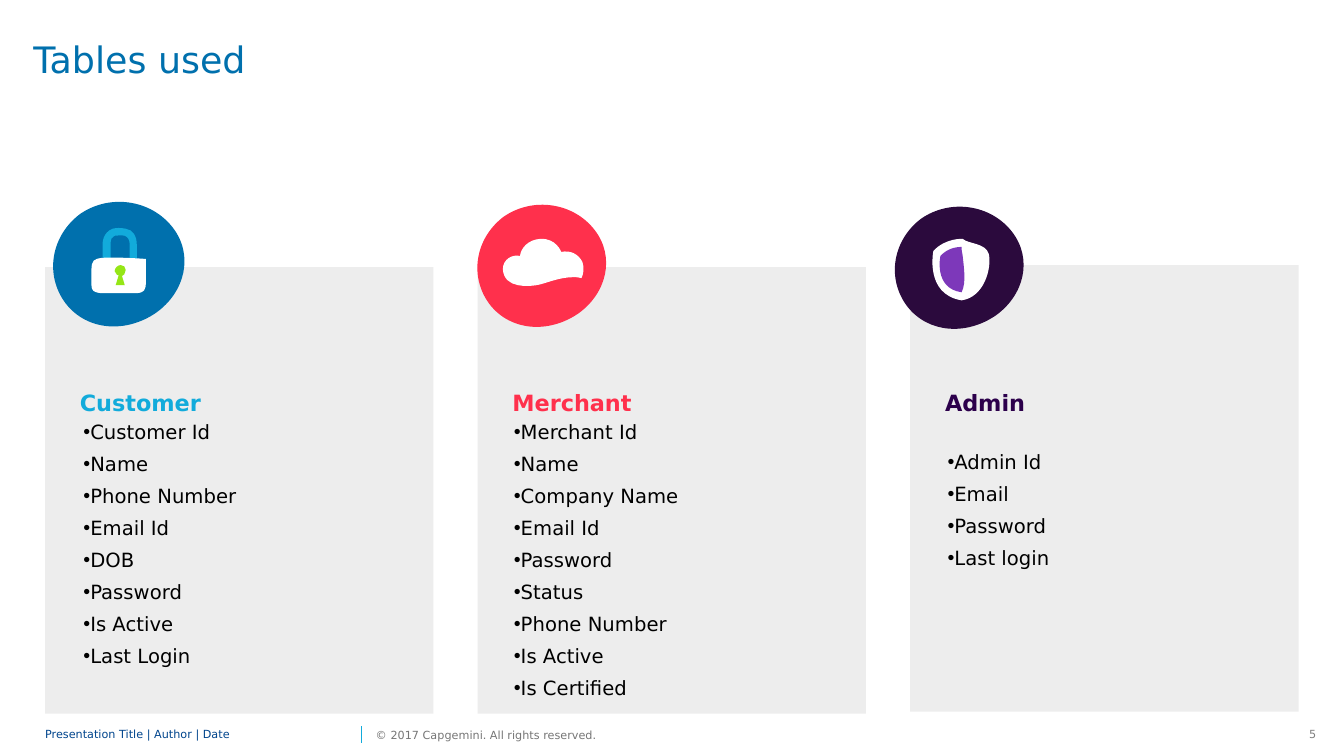
from lxml.etree import SubElement
from pptx import Presentation
from pptx.dml.color import RGBColor
from pptx.enum.shapes import MSO_CONNECTOR, MSO_SHAPE
from pptx.enum.text import MSO_ANCHOR, PP_ALIGN
from pptx.oxml.ns import qn
from pptx.util import Pt

FONT = "DejaVu Sans"
BLACK = RGBColor(0x00, 0x00, 0x00)
WHITE = RGBColor(0xFF, 0xFF, 0xFF)
PANEL = RGBColor(0xED, 0xED, 0xED)
BLUE = RGBColor(0x00, 0x70, 0xAD)
CYAN = RGBColor(0x12, 0xAB, 0xDB)
NAVY = RGBColor(0x00, 0x45, 0x8D)
RED = RGBColor(0xFF, 0x30, 0x4C)
PLUM = RGBColor(0x2B, 0x0A, 0x3D)
INDIGO = RGBColor(0x2C, 0x00, 0x4B)
VIOLET = RGBColor(0x7D, 0x38, 0xBA)
LIME = RGBColor(0x95, 0xE6, 0x16)
GREY = RGBColor(0x80, 0x80, 0x80)
DARK_GREY = RGBColor(0x76, 0x76, 0x76)

# Outlines: a start point, then two handles and an end point per curve
UNIT = 0.72  # points per outline unit
DISC = [(21, 107), (0, 79), (7, 41), (35, 20), (64, 0), (104, 6), (125, 33),
        (146, 60), (137, 96), (109, 116), (80, 136), (42, 134), (21, 107)]
SHACKLE = [(66, 74), (58, 74), (58, 74), (58, 74), (58, 68), (58, 52), (58, 52),
           (58, 49), (58, 39), (68, 35), (72, 34), (76, 34), (81, 35),
           (88, 36), (92, 42), (92, 51), (92, 74), (92, 74), (92, 74),
           (85, 74), (85, 74), (85, 74), (85, 51), (85, 51), (85, 51),
           (85, 46), (83, 43), (80, 42), (76, 41), (73, 42), (70, 42),
           (67, 43), (66, 45), (66, 52), (66, 52), (66, 68), (66, 74)]
LOCK_BODY = [(57, 99), (63, 99), (87, 99), (92, 99), (99, 98), (101, 97), (101, 87),
             (101, 87), (101, 73), (101, 65), (88, 64), (65, 63), (57, 64),
             (50, 65), (47, 66), (47, 76), (47, 90), (47, 90), (47, 90),
             (47, 97), (49, 98), (57, 99)]
KEYHOLE = [(76, 82), (79, 82), (81, 79), (81, 76), (81, 73), (79, 71), (76, 71),
           (73, 71), (70, 74), (70, 77), (71, 80), (73, 82), (76, 82)]
KEYHOLE_STEM = [(74, 81), (71, 91), (80, 91), (77, 81)]
CLOUD = [(113, 65), (109, 57), (101, 53), (92, 55), (92, 55), (87, 41), (71, 42),
         (59, 43), (52, 51), (51, 59), (44, 57), (34, 62), (34, 72),
         (35, 92), (61, 89), (67, 88), (75, 87), (89, 80), (104, 80),
         (107, 80), (110, 80), (112, 81), (114, 77), (115, 71), (113, 65)]
SHIELD = [(47, 52), (59, 39), (76, 40), (76, 40), (81, 45), (99, 44), (102, 55),
          (105, 70), (97, 98), (75, 101), (38, 95), (47, 52), (47, 52)]
SHIELD_HALF = [(76, 56), (75, 52), (75, 50), (75, 48), (73, 48), (62, 48), (54, 57),
               (54, 57), (47, 89), (75, 93), (80, 83), (77, 67), (76, 56)]

LOCK_ICON = [(SHACKLE, CYAN), (LOCK_BODY, WHITE), (KEYHOLE, LIME), (KEYHOLE_STEM, LIME)]
CLOUD_ICON = [(CLOUD, WHITE)]
SHIELD_ICON = [(SHIELD, WHITE), (SHIELD_HALF, VIOLET)]

CARDS = [
    dict(name="Customer", color=CYAN, list_at=(27.4, 109.4), list_h=198,
         fields=["Customer Id", "Name", "Phone Number", "Email Id", "DOB",
                 "Password", "Is Active", "Last Login"],
         badge_at=(-0.7, -52.6), disc=BLUE, icon=LOCK_ICON, scale=1.02),
    dict(name="Merchant", color=RED, list_at=(25.9, 109.4), list_h=198,
         fields=["Merchant Id", "Name", "Company Name", "Email Id", "Password",
                 "Status", "Phone Number", "Is Active", "Is Certified"],
         badge_at=(-6.5, -50.4), disc=RED, icon=CLOUD_ICON),
    dict(name="Admin", color=INDIGO, list_at=(26.6, 130.4), list_h=134.6,
         fields=["Admin Id", "Email", "Password", "Last login"],
         badge_at=(-17.3, -49), disc=PLUM, icon=SHIELD_ICON, lift=1.4),
]


def paint(sp, color):
    sp.shadow.inherit = False
    sp.fill.solid()
    sp.fill.fore_color.rgb = color
    sp.line.fill.background()


def write(p, text, size=14, color=BLACK, bold=False, line=None, after=None,
          align=None, bullet=None):
    if bullet:
        pPr = p._p.get_or_add_pPr()
        pPr.set("marL", "0")
        pPr.set("indent", "0")
        SubElement(pPr, qn("a:buFont")).set("typeface", "Arial")
        SubElement(pPr, qn("a:buChar")).set("char", bullet)
    p.alignment = align
    p.line_spacing = line
    p.space_after = after
    r = p.add_run()
    r.text = text
    r.font.name, r.font.size, r.font.bold = FONT, Pt(size), bold
    r.font.color.rgb = color


def text_box(s, x, y, w, h, lines, anchor=MSO_ANCHOR.TOP, wrap=True, inset=0, **fmt):
    tf = s.shapes.add_textbox(Pt(x), Pt(y), Pt(w), Pt(h)).text_frame
    tf.word_wrap = wrap
    tf.vertical_anchor = anchor
    tf.margin_left = tf.margin_right = Pt(inset)
    tf.margin_top = tf.margin_bottom = Pt(inset / 2)
    for i, text in enumerate(lines):
        write(tf.add_paragraph() if i else tf.paragraphs[0], text, **fmt)


def outline_shape(group, x, y, outline, color, scale=1):
    unit = UNIT * scale
    points = [(Pt(x + px * unit), Pt(y + py * unit)) for px, py in outline]
    builder = group.shapes.build_freeform(*points[0])
    builder.add_line_segments(points[1:], close=outline is KEYHOLE_STEM)
    sp = builder.convert_to_shape()
    paint(sp, color)
    if outline is not KEYHOLE_STEM:
        bend(sp)


def bend(sp):
    """Turn every three straight segments into one Bézier curve."""
    geometry = next(sp._element.iter(qn("a:path")))
    segments = geometry.findall(qn("a:lnTo"))
    for i in range(0, len(segments), 3):
        curve = SubElement(geometry, qn("a:cubicBezTo"))
        for segment in segments[i:i + 3]:
            curve.append(segment[0])
            geometry.remove(segment)


def badge(s, x, y, disc, icon, scale=1):
    group = s.shapes.add_group_shape()
    outline_shape(group, x, y, DISC, disc, scale)
    for outline, color in icon:
        outline_shape(group, x, y, outline, color)


def card(s, x, y, w, h, name, color, fields, list_at, list_h, badge_at, lift=0,
         **badge_fmt):
    # Panel
    paint(s.shapes.add_shape(MSO_SHAPE.RECTANGLE, Pt(x), Pt(y - lift), Pt(w), Pt(h)), PANEL)
    # Heading and field list
    text_box(s, x + 24.8, y + 71.6, w - 49.7, 51.1, [name], anchor=MSO_ANCHOR.MIDDLE,
             size=16, color=color, bold=True, line=Pt(18), after=Pt(6))
    text_box(s, x + list_at[0], y + list_at[1], w - 51.1, list_h, fields,
             after=Pt(6), bullet="•")
    # Badge over the top left corner
    badge(s, x + badge_at[0], y + badge_at[1], **badge_fmt)


def footer(s, x, y, w, h):
    text_box(s, x, y, 222.5, h, ["Presentation Title | Author | Date"],
             anchor=MSO_ANCHOR.MIDDLE, size=8, color=NAVY, line=0.85)
    rule = s.shapes.add_connector(MSO_CONNECTOR.STRAIGHT, Pt(x + 226.1), Pt(y + 14.4),
                                  Pt(x + 226.1), Pt(y + 2.2))
    rule.line.color.rgb = CYAN
    rule.line.width = Pt(1)
    SubElement(rule._element.spPr, qn("a:effectLst"))
    text_box(s, x + 236.2, y, 175, h, ["© 2017 Capgemini. All rights reserved."],
             anchor=MSO_ANCHOR.MIDDLE, wrap=False, size=8, color=DARK_GREY)
    text_box(s, x + w - 19.5, y, 19.5, h, ["5"], wrap=False, inset=7.2,
             size=8, color=GREY, align=PP_ALIGN.RIGHT)


def main():
    prs = Presentation()
    prs.slide_width, prs.slide_height = Pt(960), Pt(540)
    s = prs.slides.add_slide(prs.slide_layouts[6])
    text_box(s, 23.9, 30.2, 510, 67.7, ["Tables used"], size=26, color=BLUE, line=0.9)
    for i, parts in enumerate(CARDS):
        card(s, 32.2 + i * 309, 190.8, 277.4, 319, **parts)
    footer(s, 32.2, 516.2, 915.1, 17.3)
    prs.save("out.pptx")


if __name__ == "__main__":
    main()
